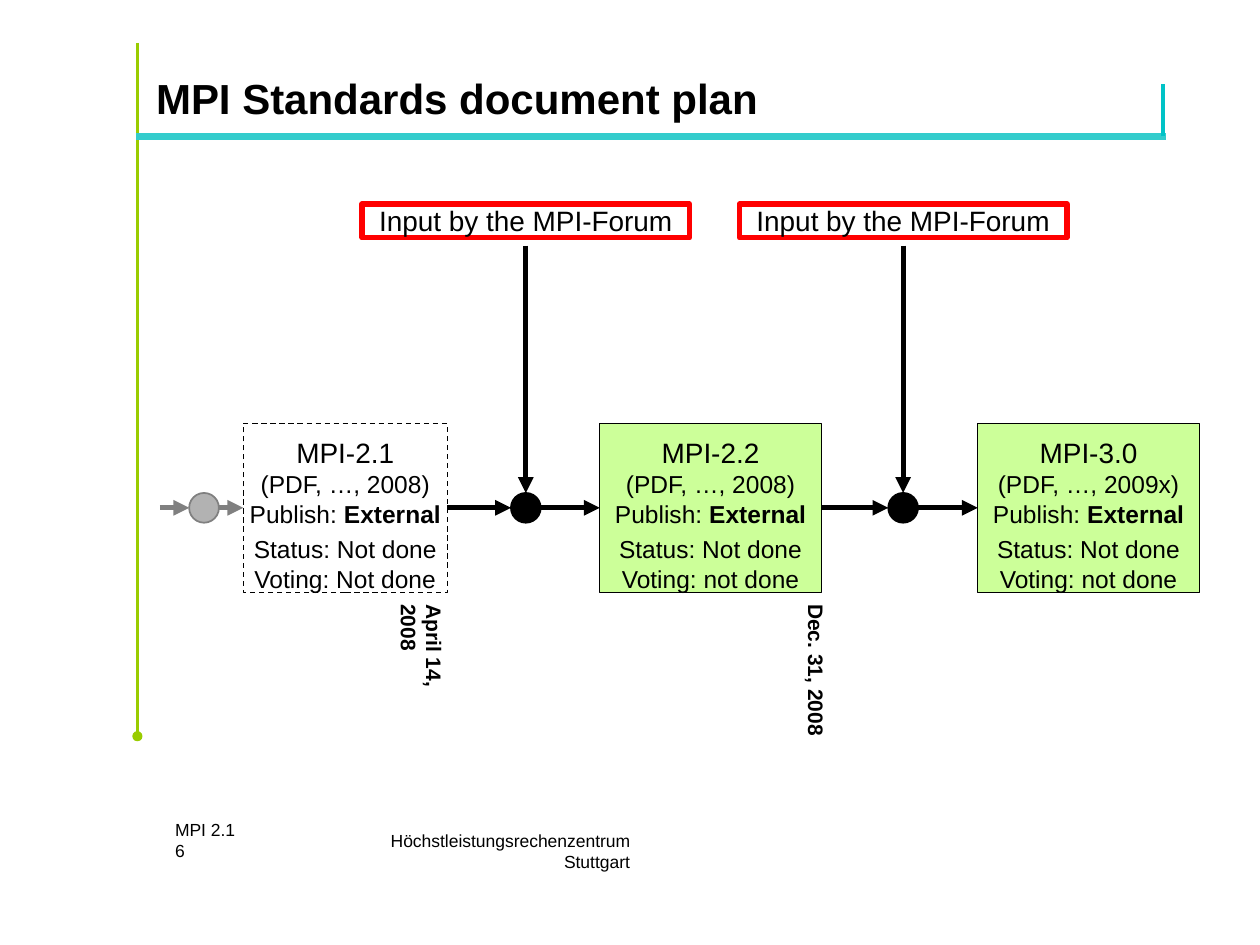
from lxml.etree import SubElement
from pptx import Presentation
from pptx.dml.color import RGBColor
from pptx.enum.dml import MSO_LINE
from pptx.enum.shapes import MSO_CONNECTOR, MSO_SHAPE
from pptx.enum.text import MSO_ANCHOR, PP_ALIGN
from pptx.oxml.ns import qn
from pptx.util import Pt

BLACK, GRAY, GREEN, TEAL = "000000", "808080", "99CC00", "33CCCC"
AXIS, BOX_HEIGHT, NODE_SIZE = 290.2, 96.5, 17
INPUT_TOP, INPUT_WIDTH, INPUT_HEIGHT = 116.6, 187.2, 19.4
INPUT_LABEL = "Input by the MPI-Forum"

# name, format, voting, left, width, fill, dashed outline
STAGES = [
    ("MPI-2.1", "(PDF, …, 2008)", "Voting: Not done", 139, 116.6, "FFFFFF", True),
    ("MPI-2.2", "(PDF, …, 2008)", "Voting: not done", 342.7, 126.7, "CCFF99", False),
    ("MPI-3.0", "(PDF, …, 2009x)", "Voting: not done", 558.7, 126.7, "CCFF99", False),
]
# centre of the node before each stage, fill, line
NODES = [(116.6, "B2B2B2", GRAY), (300.5, BLACK, BLACK), (516.1, BLACK, BLACK)]
# text, centre x, centre y, length
DATES = [("April 14, 2008", 248.2, 383.8, 80), ("Dec. 31, 2008", 466.6, 383, 78.5)]
# text, left, top, width, alignment
FOOTERS = [
    ("MPI 2.1", 100, 468, 170, PP_ALIGN.LEFT),
    ("6", 100, 480.2, 70.6, PP_ALIGN.LEFT),
    ("Höchstleistungsrechenzentrum Stuttgart", 182.9, 480.2, 177.1, PP_ALIGN.RIGHT),
]

presentation = Presentation()
presentation.slide_width, presentation.slide_height = Pt(720), Pt(540)
slide = presentation.slides.add_slide(presentation.slide_layouts[6])


def color(value):
    return RGBColor.from_string(value)


def add_line(x1, y1, x2, y2, line, width, arrow=False):
    connector = slide.shapes.add_connector(
        MSO_CONNECTOR.STRAIGHT, Pt(x1), Pt(y1), Pt(x2), Pt(y2))
    connector.line.color.rgb = color(line)
    connector.line.width = Pt(width)
    if arrow:
        SubElement(connector.line._get_or_add_ln(), qn("a:tailEnd"), type="triangle")
    SubElement(connector._element.spPr, qn("a:effectLst"))
    return connector


def add_shape(kind, left, top, width, height, fill=None, line=None, line_width=1):
    shape = slide.shapes.add_shape(kind, Pt(left), Pt(top), Pt(width), Pt(height))
    shape.shadow.inherit = False
    if fill:
        shape.fill.solid()
        shape.fill.fore_color.rgb = color(fill)
    else:
        shape.fill.background()
    if line:
        shape.line.color.rgb = color(line)
        shape.line.width = Pt(line_width)
    else:
        shape.line.fill.background()
    return shape


def set_frame(shape, insets=(0, 0, 0, 0), anchor=MSO_ANCHOR.TOP, wrap=True):
    """Set the text margins (left, top, right, bottom), anchor and wrapping."""
    frame = shape.text_frame
    frame.margin_left, frame.margin_top, frame.margin_right, frame.margin_bottom = map(Pt, insets)
    frame.vertical_anchor = anchor
    frame.word_wrap = wrap
    return frame


def add_run(paragraph, text, size, bold=False):
    run = paragraph.add_run()
    run.text = text
    run.font.name = "Arial"
    run.font.size = Pt(size)
    run.font.bold = bold
    run.font.color.rgb = color(BLACK)


def add_text(text, left, top, width, height, size, bold=False, align=PP_ALIGN.LEFT, **frame_options):
    box = slide.shapes.add_textbox(Pt(left), Pt(top), Pt(width), Pt(height))
    paragraph = set_frame(box, **frame_options).paragraphs[0]
    paragraph.alignment = align
    add_run(paragraph, text, size, bold)
    return box


def add_stage(name, file_format, voting, left, width, fill, dashed):
    box = add_shape(MSO_SHAPE.RECTANGLE, left, AXIS - BOX_HEIGHT / 2, width, BOX_HEIGHT,
                    fill, BLACK, 0.75)
    if dashed:
        box.line.dash_style = MSO_LINE.DASH
    frame = set_frame(box, (7.2, 7.1, 7.2, 3.6), wrap=False)
    heading, status = frame.paragraphs[0], frame.add_paragraph()
    heading.alignment = status.alignment = PP_ALIGN.CENTER
    status.space_before = Pt(3.5)
    add_run(heading, name, 16)
    heading.add_line_break()
    add_run(heading, file_format, 14)
    heading.add_line_break()
    add_run(heading, "Publish: ", 14)
    add_run(heading, "External", 14, bold=True)
    add_run(status, "Status: Not done", 14)
    status.add_line_break()
    add_run(status, voting, 14)
    return box


def add_input(center):
    """Add the forum's input box and its arrow down to the node."""
    box = add_shape(MSO_SHAPE.RECTANGLE, center - INPUT_WIDTH / 2, INPUT_TOP,
                    INPUT_WIDTH, INPUT_HEIGHT, line="FF0000", line_width=3)
    paragraph = set_frame(box).paragraphs[0]
    paragraph.alignment = PP_ALIGN.CENTER
    add_run(paragraph, INPUT_LABEL, 16)
    add_line(center, 140.4, center, AXIS - NODE_SIZE / 2, BLACK, 3, arrow=True)


# Frame, title and footer
add_line(78.5, 24.5, 78.5, 420, GREEN, 2)
add_line(77.8, 77.8, 666, 77.8, TEAL, 4)
add_shape(MSO_SHAPE.OVAL, 75.6, 417.8, 5.8, 5.8, GREEN)
add_line(664.6, 77.8, 664.6, 48.2, "00C3C7", 2)
add_text("MPI Standards document plan", 82.1, 41.8, 583.2, 28.1, 24, bold=True,
         insets=(7.2, 3.6, 7.2, 3.6), anchor=MSO_ANCHOR.MIDDLE)
for text, left, top, width, align in FOOTERS:
    add_text(text, left, top, width, 12.2, 10, align=align,
             anchor=MSO_ANCHOR.MIDDLE, wrap=False)

# Chain of stages, each fed through a node
previous = None
for stage, (center, fill, line) in zip(STAGES, NODES):
    box = add_stage(*stage)
    radius = NODE_SIZE / 2
    start = stage_end if previous else 91.4
    incoming = add_line(start, AXIS, center - radius, AXIS, line, 3, arrow=True)
    if previous:
        incoming.begin_connect(previous, 3)
        add_input(center)
    add_shape(MSO_SHAPE.OVAL, center - radius, AXIS - radius, NODE_SIZE, NODE_SIZE, fill, line)
    outgoing = add_line(center + radius, AXIS, stage[3], AXIS, line, 3, arrow=True)
    outgoing.end_connect(box, 1)
    previous, stage_end = box, stage[3] + stage[4]

for text, x, y, length in DATES:
    date = add_text(text, x - length / 2, y - 7.2, length, 14.4, 12, bold=True,
                    insets=(1.4, 0, 1.4, 0), wrap=False)
    date.rotation = 90

presentation.save("out.pptx")
